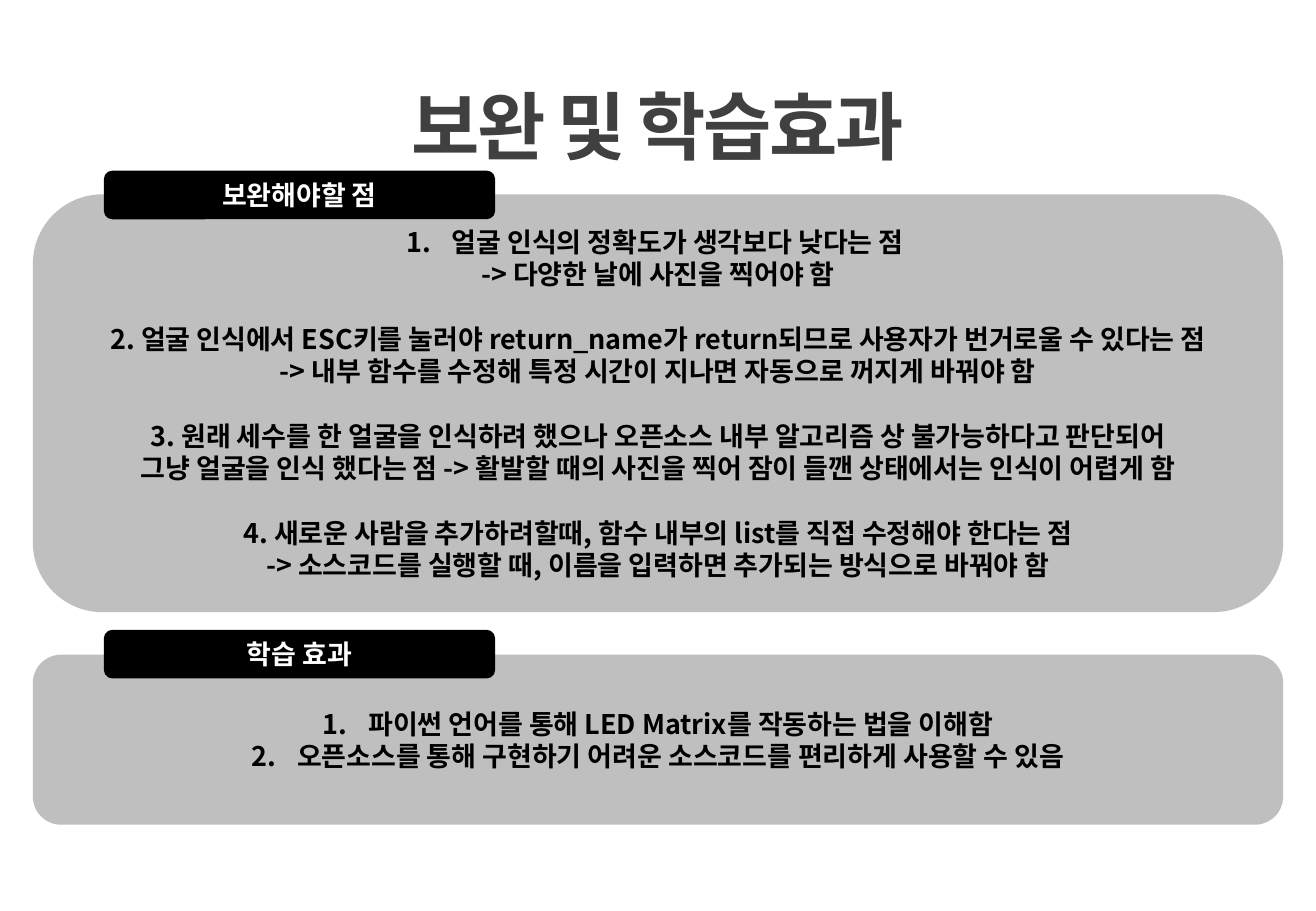
from pptx import Presentation
from pptx.dml.color import RGBColor
from pptx.enum.shapes import MSO_SHAPE
from pptx.enum.text import MSO_ANCHOR, PP_ALIGN
from pptx.oxml.ns import qn
from pptx.util import Pt
from lxml.etree import SubElement

FONT = "Noto Sans CJK KR"
LINE_RATIO = 1.2
BODY_SIZE = 16
PANEL_LEFT, PANEL_WIDTH = 19.44, 740.88
TAB_LEFT, TAB_WIDTH, TAB_HEIGHT = 61.92, 231.12, 28.08

IMPROVEMENTS = [
    ["얼굴 인식의 정확도가 생각보다 낮다는 점 ",
     "-> 다양한 날에 사진을 찍어야 함"],
    ["2. 얼굴 인식에서 ESC키를 눌러야 return_name가 return되므로 사용자가 번거로울 수 있다는 점",
     "-> 내부 함수를 수정해 특정 시간이 지나면 자동으로 꺼지게 바꿔야 함"],
    ["3. 원래 세수를 한 얼굴을 인식하려 했으나 오픈소스 내부 알고리즘 상 불가능하다고 판단되어",
     "그냥 얼굴을 인식 했다는 점 -> 활발할 때의 사진을 찍어 잠이 들깬 상태에서는 인식이 어렵게 함"],
    ["4. 새로운 사람을 추가하려할때, 함수 내부의 list를 직접 수정해야 한다는 점",
     "-> 소스코드를 실행할 때, 이름을 입력하면 추가되는 방식으로 바꿔야 함"],
]
EFFECTS = [
    "파이썬 언어를 통해 LED Matrix를 작동하는 법을 이해함",
    "오픈소스를 통해 구현하기 어려운 소스코드를 편리하게 사용할 수 있음",
]


def color(value):
    return RGBColor.from_string(value)


def add_line(frame, text, size, text_color, gap=0, numbered=False):
    first = len(frame.paragraphs) == 1 and not frame.paragraphs[0].runs
    para = frame.paragraphs[0] if first else frame.add_paragraph()
    para.alignment = PP_ALIGN.CENTER
    para.line_spacing = Pt(size * LINE_RATIO)
    para.space_before = Pt(gap)
    if numbered:
        number_paragraph(para)
    span = para.add_run()
    span.text = text
    span.font.size = Pt(size)
    span.font.bold = True
    span.font.name = FONT
    span.font.color.rgb = color(text_color)
    properties = span.font._element
    SubElement(properties, qn("a:ea")).set("typeface", FONT)
    return span


def number_paragraph(para):
    properties = para._p.get_or_add_pPr()
    properties.set("marL", str(Pt(27)))
    properties.set("indent", str(Pt(-27)))
    SubElement(properties, qn("a:buFont")).set("typeface", FONT)
    SubElement(properties, qn("a:buAutoNum")).set("type", "arabicPeriod")


def add_rounded_box(page, left, top, width, height, fill):
    box = page.shapes.add_shape(
        MSO_SHAPE.ROUNDED_RECTANGLE, Pt(left), Pt(top), Pt(width), Pt(height))
    box.shadow.inherit = False
    box.fill.solid()
    box.fill.fore_color.rgb = color(fill)
    box.line.fill.background()
    box.text_frame.word_wrap = False
    box.text_frame.vertical_anchor = MSO_ANCHOR.MIDDLE
    return box


def add_panel(page, top, height):
    return add_rounded_box(page, PANEL_LEFT, top, PANEL_WIDTH, height, "BFBFBF").text_frame


def add_tab(page, top, label):
    tab = add_rounded_box(page, TAB_LEFT, top, TAB_WIDTH, TAB_HEIGHT, "000000")
    tab.line.color.rgb = color("000000")
    tab.line.width = Pt(0.75)
    add_line(tab.text_frame, label, BODY_SIZE, "FFFFFF")


def add_title(page, text):
    box = page.shapes.add_textbox(Pt(196.56), Pt(43.92), Pt(386.64), Pt(60.48))
    box.text_frame.word_wrap = True
    span = add_line(box.text_frame, text, 44, "404040")
    span.font._element.set("spc", "-150")


def main():
    deck = Presentation()
    deck.slide_width, deck.slide_height = Pt(779.76), Pt(540)
    page = deck.slides.add_slide(deck.slide_layouts[6])

    improvements = add_panel(page, 115.2, 247.68)
    for index, group in enumerate(IMPROVEMENTS):
        for row, text in enumerate(group):
            gap = BODY_SIZE * LINE_RATIO if index and row == 0 else 0
            add_line(improvements, text, BODY_SIZE, "000000", gap, index == row == 0)

    add_title(page, "보완 및 학습효과")

    effects = add_panel(page, 388.08, 100.8)
    for text in EFFECTS:
        add_line(effects, text, BODY_SIZE, "000000", numbered=True)

    add_tab(page, 101.52, "보완해야할 점")
    add_tab(page, 373.68, "학습 효과")
    deck.save("out.pptx")


if __name__ == "__main__":
    main()
